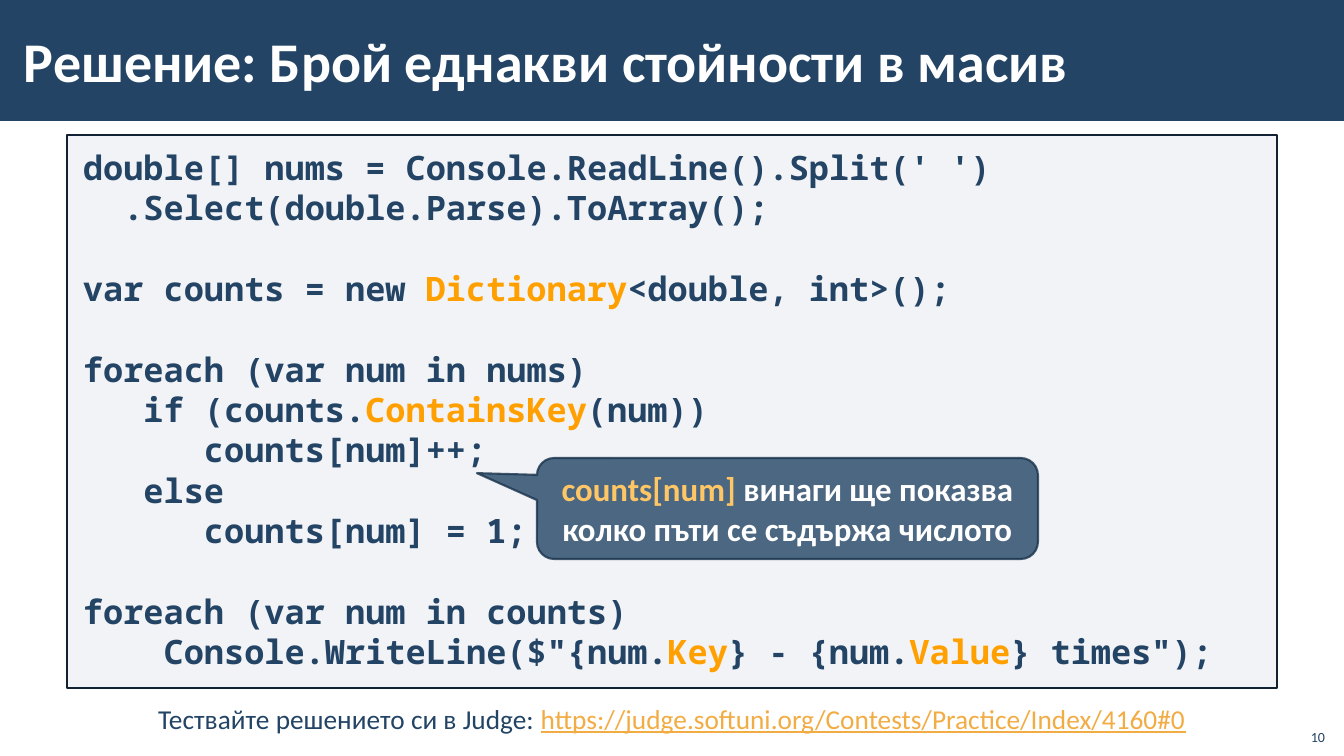
from lxml.etree import SubElement
from pptx import Presentation
from pptx.dml.color import RGBColor
from pptx.enum.shapes import MSO_SHAPE
from pptx.enum.text import MSO_ANCHOR, PP_ALIGN
from pptx.oxml.ns import qn
from pptx.util import Emu, Pt

COLORS = {
    "navy": "234465",
    "white": "FFFFFF",
    "mist": "ADB4C3",
    "frame": "112233",
    "edge": "1A334C",
    "orange": "FFA000",
    "peach": "FFC666",
    "link": "F2AC44",
}
TEXT_FONT = "Calibri"
CODE_FONT = "Noto Sans Mono"
CODE_LEADING = Pt(28.8)

CODE_BLOCKS = [
    [
        [("double[] nums = Console.ReadLine().Split(' ')", "navy")],
        [("  .Select(double.Parse).ToArray();", "navy")],
    ],
    [
        [("var counts = new ", "navy"), ("Dictionary", "orange"), ("<double, int>();", "navy")],
    ],
    [
        [("foreach (var num in nums)", "navy")],
        [("   if (counts.", "navy"), ("ContainsKey", "orange"), ("(num))", "navy")],
        [("      counts[num]++;", "navy")],
        [("   else", "navy")],
        [("      counts[num] = 1;", "navy")],
    ],
    [
        [("foreach (var num in counts)", "navy")],
        [
            ("    Console.WriteLine($\"{num.", "navy"),
            ("Key", "orange"),
            ("} - {num.", "navy"),
            ("Value", "orange"),
            ("} times\");", "navy"),
        ],
    ],
]


def px(length):
    return Emu(round(length * 914400 / 100.8))


class SlideBuilder:
    def __init__(self, deck):
        self.page = deck.slides.add_slide(deck.slide_layouts[6])

    def paint(self, fill, color, alpha=100):
        fill.solid()
        fill.fore_color.rgb = RGBColor.from_string(COLORS[color])
        if alpha < 100:
            tint = fill._xPr.find(qn("a:solidFill"))[0]
            SubElement(tint, qn("a:alpha")).set("val", str(alpha * 1000))

    def panel(self, kind, area, color, alpha=100, line=None, width=1, line_alpha=100):
        shape = self.page.shapes.add_shape(kind, *map(px, area))
        shape.shadow.inherit = False
        self.paint(shape.fill, color, alpha)
        if line:
            shape.line.width = Pt(width)
            self.paint(shape.line.fill, line, line_alpha)
        else:
            shape.line.fill.background()
        return shape

    def frame(self, box, insets, anchor):
        frame = box.text_frame
        frame.word_wrap = True
        frame.vertical_anchor = anchor
        frame.margin_left = frame.margin_right = px(insets[0])
        frame.margin_top = frame.margin_bottom = px(insets[1])
        return frame

    def add_spans(self, para, spans, size, align=PP_ALIGN.LEFT, bold=False, font=TEXT_FONT):
        para.alignment = align
        for text, color in spans:
            span = para.add_run()
            span.text = text
            span.font.name = font
            span.font.size = Pt(size)
            span.font.bold = bold
            span.font.underline = True if color == "link" else None
            span.font.color.rgb = RGBColor.from_string(COLORS[color])

    def label(self, area, spans, size, align=PP_ALIGN.LEFT, bold=False,
              insets=(10, 5), anchor=MSO_ANCHOR.TOP):
        box = self.page.shapes.add_textbox(*map(px, area))
        frame = self.frame(box, insets, anchor)
        self.add_spans(frame.paragraphs[0], spans, size, align, bold)

    def code(self, area, blocks, size):
        box = self.panel(MSO_SHAPE.RECTANGLE, area, "mist", 15, "frame")
        frame = self.frame(box, (16, 12), MSO_ANCHOR.TOP)
        for block_index, block in enumerate(blocks):
            for line_index, spans in enumerate(block):
                first = block_index == line_index == 0
                para = frame.paragraphs[0] if first else frame.add_paragraph()
                para.line_spacing = CODE_LEADING
                if block_index and not line_index:
                    para.space_before = CODE_LEADING
                self.add_spans(para, spans, size, bold=True, font=CODE_FONT)

    def callout(self, area, adjustments, spans, size):
        box = self.panel(MSO_SHAPE.ROUNDED_RECTANGULAR_CALLOUT, area, "navy", 80, "edge", 1.5, 80)
        for index, value in enumerate(adjustments):
            box.adjustments[index] = value
        frame = self.frame(box, (10, 5), MSO_ANCHOR.MIDDLE)
        self.add_spans(frame.paragraphs[0], spans, size, PP_ALIGN.CENTER, True)


def main():
    deck = Presentation()
    deck.slide_width, deck.slide_height = px(1344), px(756)
    slide = SlideBuilder(deck)

    slide.panel(MSO_SHAPE.RECTANGLE, (0, 0, 1344, 121), "navy")
    slide.label((12, 11, 1083, 98), [("Решение: Брой еднакви стойности в масив", "white")],
                40, bold=True, insets=(12, 4), anchor=MSO_ANCHOR.MIDDLE)
    slide.code((67, 135, 1210, 553), CODE_BLOCKS, 24)
    slide.callout((537, 458, 501, 101), (-0.62, -0.35, 0.17), [
        ("counts[num]", "peach"),
        (" винаги ще показва колко пъти се съдържа числото", "white"),
    ], 23.5)
    slide.label((1295, 718, 40, 32), [("10", "navy")], 10, PP_ALIGN.RIGHT,
                anchor=MSO_ANCHOR.BOTTOM)
    slide.label((69, 697, 1206, 44), [
        ("Тествайте решението си в Judge: ", "navy"),
        ("https://judge.softuni.org/Contests/Practice/Index/4160#0", "link"),
    ], 19.5, PP_ALIGN.CENTER)
    deck.save("out.pptx")


if __name__ == "__main__":
    main()
